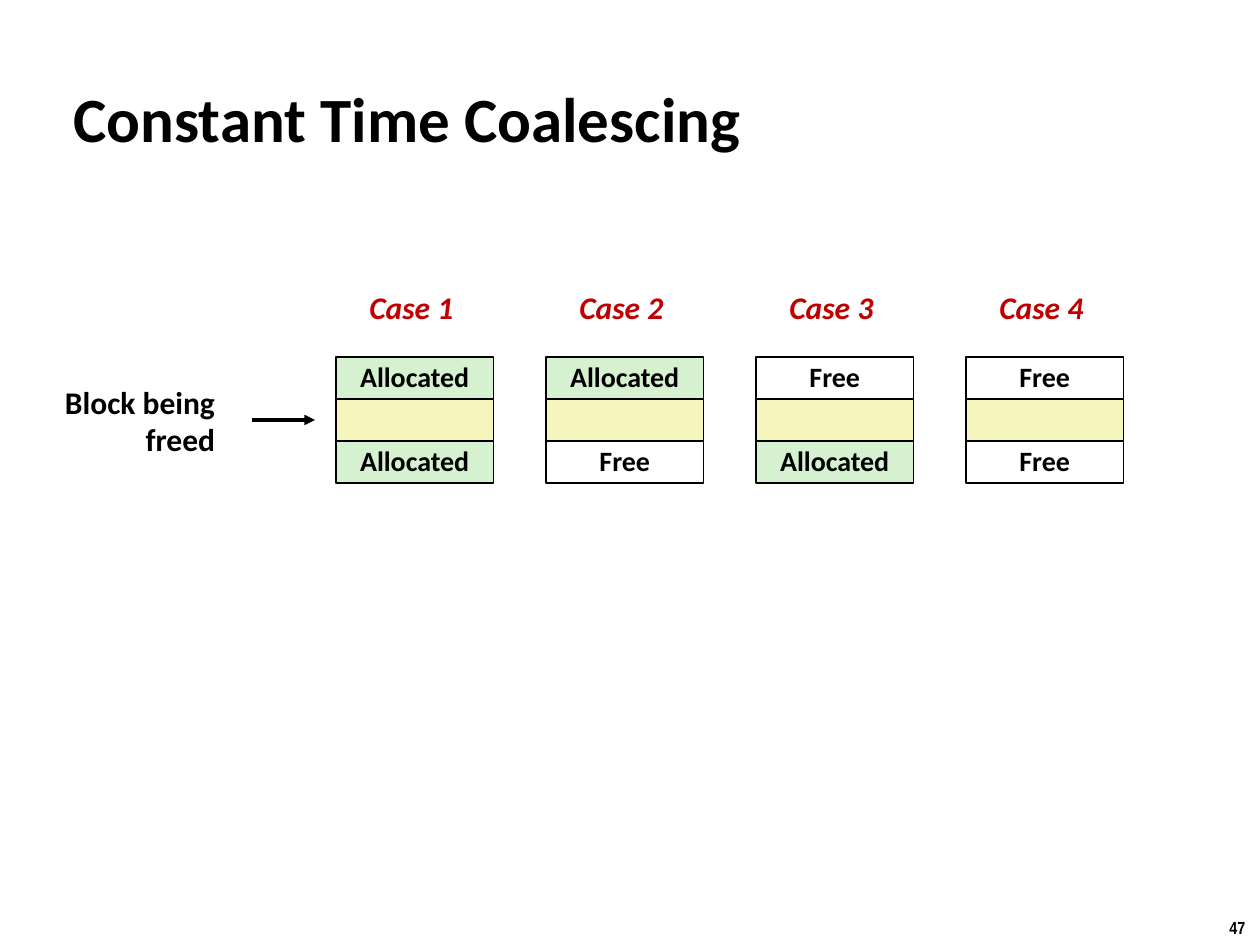
from lxml.etree import SubElement
from pptx import Presentation
from pptx.dml.color import RGBColor
from pptx.enum.shapes import MSO_CONNECTOR, MSO_SHAPE
from pptx.enum.text import MSO_ANCHOR, PP_ALIGN
from pptx.oxml.ns import qn
from pptx.util import Pt

TITLE = "Constant Time Coalescing"
BLOCK_LABEL = "Block being\nfreed"
SLIDE_NUMBER = "47"
CASES = [
    ("Case 1", ["Allocated", "", "Allocated"]),
    ("Case 2", ["Allocated", "", "Free"]),
    ("Case 3", ["Free", "", "Allocated"]),
    ("Case 4", ["Free", "", "Free"]),
]
FILLS = {"Allocated": "D5F1CF", "": "F6F5BD", "Free": "FFFFFF"}
BLACK, RED = "000000", "C00000"
FIRST_LEFT, CASE_STEP = 192, 120
STACK_TOP, BLOCK_WIDTH, BLOCK_HEIGHT = 204, 90, 24
LINE_SPACING = 0.98


def color(hex_value):
    return RGBColor.from_string(hex_value)


def write(shape, text, size, font="Calibri", ink=BLACK, italic=False,
          align=PP_ALIGN.LEFT, anchor=MSO_ANCHOR.TOP, spacing=LINE_SPACING):
    frame = shape.text_frame
    frame.text = text
    frame.word_wrap = False
    frame.vertical_anchor = anchor
    for paragraph in frame.paragraphs:
        paragraph.alignment = align
        paragraph.line_spacing = spacing
        for run in paragraph.runs:
            run.font.name = font
            run.font.size = Pt(size)
            run.font.bold = True
            run.font.italic = italic
            run.font.color.rgb = color(ink)


def add_text(slide, left, top, width, height, text, size, **style):
    box = slide.shapes.add_textbox(Pt(left), Pt(top), Pt(width), Pt(height))
    write(box, text, size, **style)


def add_block(slide, left, top, status):
    block = slide.shapes.add_shape(MSO_SHAPE.RECTANGLE, Pt(left), Pt(top),
                                   Pt(BLOCK_WIDTH), Pt(BLOCK_HEIGHT))
    block.shadow.inherit = False
    block.fill.solid()
    block.fill.fore_color.rgb = color(FILLS[status])
    block.line.color.rgb = color(BLACK)
    block.line.width = Pt(1)
    if status:
        write(block, status, 16, align=PP_ALIGN.CENTER, anchor=MSO_ANCHOR.MIDDLE)


def add_arrow(slide, start, end, height):
    arrow = slide.shapes.add_connector(MSO_CONNECTOR.STRAIGHT, Pt(start), Pt(height),
                                       Pt(end), Pt(height))
    arrow.line.color.rgb = color(BLACK)
    arrow.line.width = Pt(2)
    SubElement(arrow.line._get_or_add_ln(), qn("a:tailEnd"), type="triangle")
    SubElement(arrow._element.spPr, qn("a:effectLst"))


def main():
    presentation = Presentation()
    presentation.slide_width, presentation.slide_height = Pt(720), Pt(540)
    slide = presentation.slides.add_slide(presentation.slide_layouts[6])

    add_text(slide, 695.5, 520.5, 24.5, 19.5, SLIDE_NUMBER, 10,
             font="Arial Narrow", spacing=1.0)
    add_text(slide, 35, 44.5, 553, 45.5, TITLE, 36,
             anchor=MSO_ANCHOR.MIDDLE, spacing=1.0)

    for column, (name, statuses) in enumerate(CASES):
        left = FIRST_LEFT + column * CASE_STEP
        add_text(slide, left + 12, 162, 62.5, 29, name, 18, ink=RED, italic=True)
        for row, status in enumerate(statuses):
            add_block(slide, left, STACK_TOP + row * BLOCK_HEIGHT, status)

    add_text(slide, 29, 216.5, 101, 50.5, BLOCK_LABEL, 18, align=PP_ALIGN.RIGHT)
    add_arrow(slide, 144, 180, STACK_TOP + 1.5 * BLOCK_HEIGHT)

    presentation.save("out.pptx")


if __name__ == "__main__":
    main()
